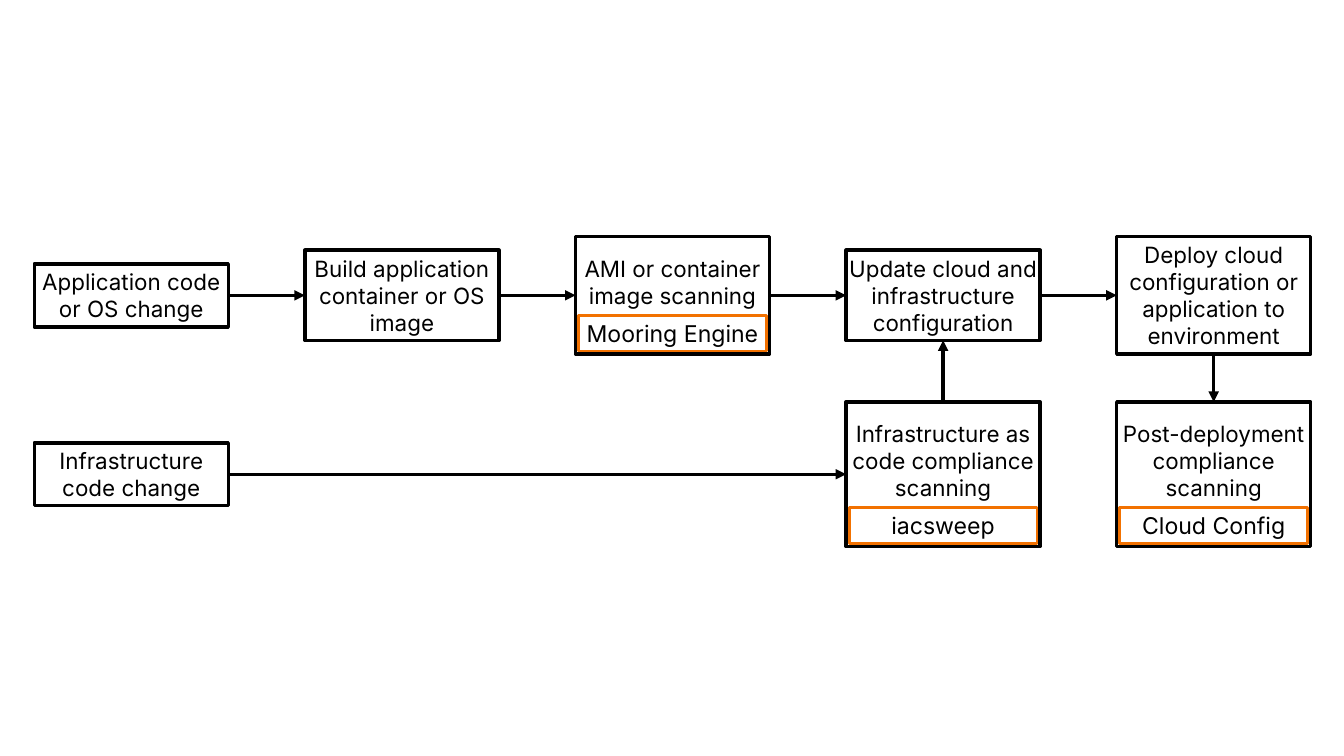
from dataclasses import dataclass
from enum import IntEnum

from lxml import etree
from pptx import Presentation
from pptx import util as u
from pptx.dml.color import RGBColor
from pptx.enum import shapes, text
from pptx.oxml.ns import qn

COLORS = {"ink": "000000", "tool": "F27100", "background": "FFFFFF"}
FONT = "Inter"
SLIDE_W, SLIDE_H = 26.67, 15
LEFT, COL_PITCH, BOX_W = 0.68, 5.37, 3.85
ROW_CENTERS = (5.86, 9.41)
LINE_H, BOX_EXTRA, PAD = 0.54, 0.17, 0.06
TOOL_H = 0.71


class Side(IntEnum):
    TOP = 0
    LEFT = 1
    BOTTOM = 2
    RIGHT = 3


@dataclass(frozen=True)
class Step:
    col: int
    row: int
    lines: int
    label: str
    tool: str = ""


@dataclass(frozen=True)
class Arrow:
    start: str
    end: str
    exit: Side = Side.RIGHT
    entry: Side = Side.LEFT


STEPS = {
    "app_change": Step(0, 0, 2, "Application code or OS change"),
    "build": Step(1, 0, 3, "Build application container or OS image"),
    "image_scan": Step(2, 0, 4, "AMI or container image scanning", "Mooring Engine"),
    "update": Step(3, 0, 3, "Update cloud and infrastructure configuration"),
    "deploy": Step(4, 0, 4, "Deploy cloud configuration or application to environment"),
    "infra_change": Step(0, 1, 2, "Infrastructure code change"),
    "infra_scan": Step(3, 1, 5, "Infrastructure as code compliance scanning", "iacsweep"),
    "post_scan": Step(4, 1, 5, "Post-deployment compliance scanning", "Cloud Config"),
}
ARROWS = (
    Arrow("app_change", "build"),
    Arrow("build", "image_scan"),
    Arrow("image_scan", "update"),
    Arrow("update", "deploy"),
    Arrow("infra_change", "infra_scan"),
    Arrow("infra_scan", "update", Side.TOP, Side.BOTTOM),
    Arrow("deploy", "post_scan", Side.BOTTOM, Side.TOP),
)


def rgb(name: str) -> RGBColor:
    """Return a palette colour."""
    return RGBColor.from_string(COLORS[name])


def add_box(slide, x: float, y: float, w: float, h: float, label: str,
            size: int, color: str, weight: int, bottom: float = PAD):
    """Draw an outlined rectangle with a centred label."""
    sp = slide.shapes.add_shape(shapes.MSO_SHAPE.RECTANGLE, *map(u.Inches, (x, y, w, h)))
    sp.shadow.inherit = False
    sp.fill.background()
    sp.line.color.rgb = rgb(color)
    sp.line.width = u.Pt(weight)
    tf = sp.text_frame
    tf.text = label
    tf.word_wrap = True
    tf.vertical_anchor = text.MSO_ANCHOR.MIDDLE
    tf.margin_left = tf.margin_right = tf.margin_top = u.Inches(PAD)
    tf.margin_bottom = u.Inches(bottom)
    p = tf.paragraphs[0]
    p.alignment = text.PP_ALIGN.CENTER
    r = p.runs[0]
    r.font.name = FONT
    r.font.size = u.Pt(size)
    r.font.color.rgb = rgb("ink")
    return sp


def add_step(slide, step: Step):
    """Draw a step on the grid, with its tool along the bottom edge."""
    x = LEFT + step.col * COL_PITCH
    h = step.lines * LINE_H + BOX_EXTRA
    y = ROW_CENTERS[step.row] - h / 2
    bottom = PAD + LINE_H if step.tool else PAD
    sp = add_box(slide, x, y, BOX_W, h, step.label, 32, "ink", 5, bottom)
    if step.tool:
        add_box(slide, x + PAD, y + h - PAD - TOOL_H, BOX_W - 2 * PAD, TOOL_H,
                step.tool, 33, "tool", 4)
    return sp


def add_arrow(slide, arrow: Arrow, boxes: dict) -> None:
    """Connect two steps with an arrow."""
    line = slide.shapes.add_connector(shapes.MSO_CONNECTOR.STRAIGHT, 0, 0, 0, 0)
    line.begin_connect(boxes[arrow.start], arrow.exit.value)
    line.end_connect(boxes[arrow.end], arrow.entry.value)
    line.line.color.rgb = rgb("ink")
    line.line.width = u.Pt(5)
    etree.SubElement(line.line._get_or_add_ln(), qn("a:tailEnd"), type="triangle")
    etree.SubElement(line._element.spPr, qn("a:effectLst"))


def main() -> None:
    """Build the compliance pipeline slide."""
    prs = Presentation()
    prs.slide_width, prs.slide_height = u.Inches(SLIDE_W), u.Inches(SLIDE_H)
    slide = prs.slides.add_slide(prs.slide_layouts[6])
    slide.background.fill.solid()
    slide.background.fill.fore_color.rgb = rgb("background")
    boxes = {name: add_step(slide, step) for name, step in STEPS.items()}
    for arrow in ARROWS:
        add_arrow(slide, arrow, boxes)
    prs.save("out.pptx")


main()
